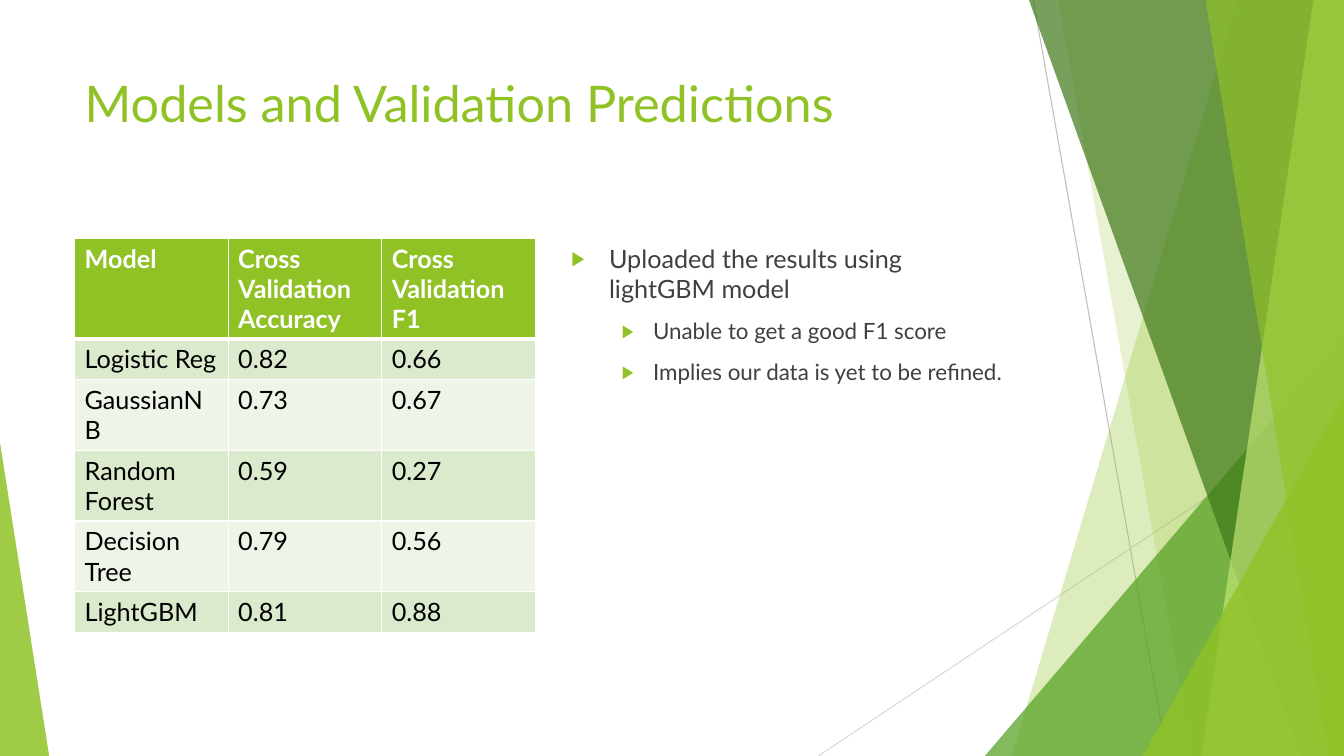
from lxml.etree import SubElement
from pptx import Presentation
from pptx.dml.color import RGBColor
from pptx.enum.shapes import MSO_CONNECTOR as CONN, MSO_SHAPE as SHAPE
from pptx.enum.text import MSO_ANCHOR as ANCHOR, MSO_AUTO_SIZE as AUTO, PP_ALIGN as ALIGN
from pptx.oxml.ns import qn
from pptx.util import Cm, Pt

FONT = "Lato"
GREEN, WHITE, BLACK, GREY = "90C226", "FFFFFF", "000000", "404040"
BANDS = ("DBE9CD", "EEF4E8")
WIDTH, HEIGHT = 33.87, 19.05

MODELS = [
    ("Model", "Cross Validation\nAccuracy", "Cross Validation\nF1"),
    ("Logistic Reg", "0.82", "0.66"),
    ("GaussianNB", "0.73", "0.67"),
    ("Random Forest", "0.59", "0.27"),
    ("Decision Tree", "0.79", "0.56"),
    ("LightGBM", "0.81", "0.88"),
]
# Level, text
NOTES = [
    (0, "Uploaded the results using lightGBM model"),
    (1, "Unable to get a good F1 score"),
    (1, "Implies our data is yet to be refined."),
]
# Size in points, left margin and hanging indent in cm, by level
LEVELS = [(18, 0.95, 0.95), (16, 2.06, 0.79)]


def rgb(hex_color):
    return RGBColor.from_string(hex_color)


def add_run(p, text, size, color, bold=False):
    r = p.add_run()
    r.text = text
    r.font.name = FONT
    r.font.size = Pt(size)
    r.font.bold = bold
    r.font.color.rgb = rgb(color)


def paint(sp, color, opacity):
    sp.shadow.inherit = False
    sp.line.fill.background()
    sp.fill.solid()
    sp.fill.fore_color.rgb = rgb(color)
    clr = sp.fill._xPr.find(qn("a:solidFill"))[0]
    SubElement(clr, qn("a:alpha"), val=str(opacity * 1000))


def add_thin_line(s, x1, y1, x2, y2, color):
    line = s.shapes.add_connector(CONN.STRAIGHT, Cm(x1), Cm(y1), Cm(x2), Cm(y2))
    line.line.color.rgb = rgb(color)
    line.line.width = Pt(0.75)
    SubElement(line._element.spPr, qn("a:effectLst"))


def add_facet(s, top_x, bottom_x, color, opacity):
    """Full-height panel with a slanted left edge, flush with the right side."""
    fb = s.shapes.build_freeform(Cm(top_x), Cm(0))
    fb.add_line_segments([(Cm(WIDTH), Cm(0)), (Cm(WIDTH), Cm(HEIGHT)),
                          (Cm(bottom_x), Cm(HEIGHT))], close=True)
    paint(fb.convert_to_shape(), color, opacity)


def add_corner(s, left, width, height, apex, color, opacity):
    """Triangle standing on the bottom edge of the slide."""
    sp = s.shapes.add_shape(SHAPE.ISOSCELES_TRIANGLE, Cm(left), Cm(HEIGHT - height),
                            Cm(width), Cm(height))
    sp.adjustments[0] = apex
    paint(sp, color, opacity)


def add_background(s):
    add_thin_line(s, 26.04, 0, 29.41, HEIGHT, "BFBFBF")
    add_thin_line(s, WIDTH, 10.24, 20.62, HEIGHT, "D9D9D9")
    add_facet(s, 31.19, 25.5, GREEN, 30)
    add_facet(s, 26.67, 30.05, GREEN, 20)
    add_corner(s, 24.82, 9.05, 10.59, 1, "54A021", 72)
    add_facet(s, 25.93, 32.79, "3F7819", 70)
    add_facet(s, 33.1, 30.28, "C0E474", 70)
    add_facet(s, 30.38, 33.48, GREEN, 65)
    add_corner(s, 28.8, 5.07, 9.07, 1, GREEN, 80)
    add_corner(s, 0, 1.24, 7.9, 0, GREEN, 85)


def set_title(s, text):
    sp = s.shapes.title
    sp.left, sp.top, sp.width, sp.height = Cm(1.88), Cm(1.7), Cm(23.88), Cm(3.66)
    tf = sp.text_frame
    tf.vertical_anchor = ANCHOR.TOP
    tf.auto_size = AUTO.NONE
    p = tf.paragraphs[0]
    p.alignment = ALIGN.LEFT
    add_run(p, text, 36, GREEN)


def set_borders(cell, bottom):
    tcPr = cell._tc.get_or_add_tcPr()
    sides = [("a:lnL", 1), ("a:lnR", 1), ("a:lnT", 1), ("a:lnB", bottom)]
    for i, (tag, points) in enumerate(sides):
        ln = tcPr.makeelement(qn(tag), {"w": str(Pt(points))})
        fill = SubElement(ln, qn("a:solidFill"))
        SubElement(fill, qn("a:srgbClr"), val=WHITE)
        tcPr.insert(i, ln)


def add_model_table(s, rows):
    n_rows, n_cols = len(rows), len(rows[0])
    col_w, row_h = 3.87, 1.03
    table = s.shapes.add_table(n_rows, n_cols, Cm(1.88), Cm(6), Cm(n_cols * col_w),
                               Cm(n_rows * row_h)).table
    for col in table.columns:
        col.width = Cm(col_w)
    for i, row in enumerate(rows):
        table.rows[i].height = Cm(row_h)
        head = i == 0
        for j, text in enumerate(row):
            cell = table.cell(i, j)
            cell.fill.solid()
            cell.fill.fore_color.rgb = rgb(GREEN if head else BANDS[(i - 1) % 2])
            above_rule = 3 if head else 1
            set_borders(cell, above_rule)
            tf = cell.text_frame
            for k, line in enumerate(text.split("\n")):
                p = tf.add_paragraph() if k else tf.paragraphs[0]
                add_run(p, line, 18, WHITE if head else BLACK, head)


def set_bullet(p, margin, hanging):
    pPr = p._p.get_or_add_pPr()
    pPr.set("marL", str(Cm(margin)))
    pPr.set("indent", str(-Cm(hanging)))
    clr = SubElement(pPr, qn("a:buClr"))
    SubElement(clr, qn("a:srgbClr"), val=GREEN)
    SubElement(pPr, qn("a:buSzPct"), val="80000")
    SubElement(pPr, qn("a:buFont"), typeface="Arial")
    SubElement(pPr, qn("a:buChar"), char="▶")


def add_notes_list(s, items):
    tf = s.shapes.add_textbox(Cm(14.15), Cm(6), Cm(11.63), Cm(10.77)).text_frame
    tf.word_wrap = True
    for i, (level, text) in enumerate(items):
        size, margin, hanging = LEVELS[level]
        p = tf.add_paragraph() if i else tf.paragraphs[0]
        p.level = level
        set_bullet(p, margin, hanging)
        if i:
            p.space_before = Pt(10)
        add_run(p, text, size, GREY)


def main():
    prs = Presentation()
    prs.slide_width, prs.slide_height = Cm(WIDTH), Cm(HEIGHT)
    s = prs.slides.add_slide(prs.slide_layouts[5])

    # Decorative facets
    add_background(s)

    # Title, scores and remarks
    set_title(s, "Models and Validation Predictions")
    add_model_table(s, MODELS)
    add_notes_list(s, NOTES)

    prs.save("out.pptx")


if __name__ == "__main__":
    main()
